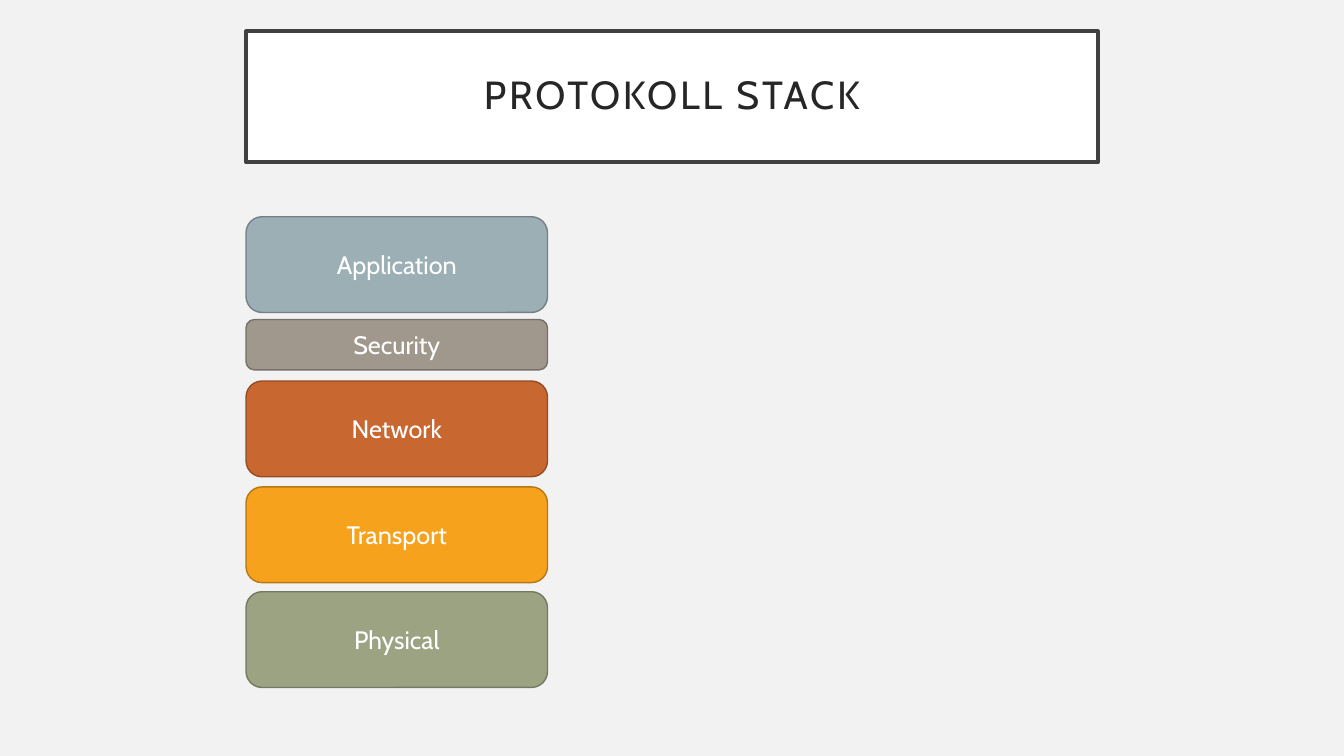
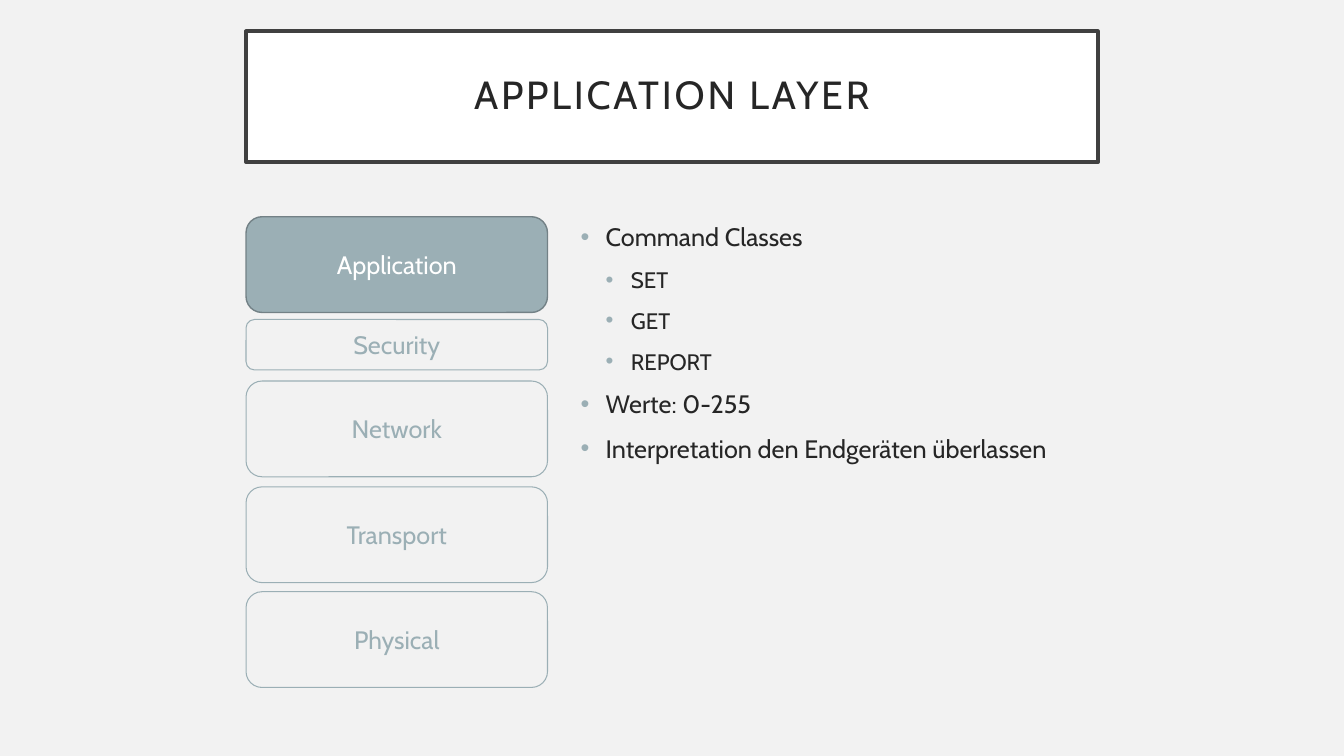
from dataclasses import dataclass

from lxml.etree import SubElement
from pptx import Presentation
from pptx.dml.color import RGBColor
from pptx.enum.shapes import MSO_SHAPE
from pptx.enum.text import MSO_ANCHOR, PP_ALIGN
from pptx.oxml.ns import qn
from pptx.util import Inches, Pt

FONT = "Cabin"
COLORS = {
    "background": "F2F2F2",
    "white": "FFFFFF",
    "frame": "404040",
    "text": "262626",
    "accent": "9BAFB5",
}
LEFT = 2.44
STACK_TOP = 2.15


@dataclass(frozen=True)
class Layer:
    name: str
    top: float
    height: float
    fill: str
    line: str


@dataclass(frozen=True)
class Bullet:
    text: str
    level: int = 0


LAYERS = [
    Layer("Application", STACK_TOP, 0.95, COLORS["accent"], "738186"),
    Layer("Security", 3.17, 0.5, "A0988C", "767068"),
    Layer("Network", 3.78, 0.95, "C96731", "954C24"),
    Layer("Transport", 4.83, 0.95, "F6A21D", "B67815"),
    Layer("Physical", 5.87, 0.95, "9CA383", "737961"),
]

APPLICATION_BULLETS = [
    Bullet("Command Classes"),
    Bullet("SET", 1),
    Bullet("GET", 1),
    Bullet("REPORT", 1),
    Bullet("Werte: 0-255"),
    Bullet("Interpretation den Endgeräten überlassen"),
]


def rgb(value: str) -> RGBColor:
    return RGBColor.from_string(value)


def add_run(p, text: str, size: float, color: str):
    r = p.add_run()
    r.text = text
    r.font.name = FONT
    r.font.size = Pt(size)
    r.font.color.rgb = rgb(color)
    return r


def add_box(s, kind, left: float, top: float, width: float, height: float,
            fill: str | None, line: str, line_width: float):
    sp = s.shapes.add_shape(kind, Inches(left), Inches(top), Inches(width), Inches(height))
    sp.shadow.inherit = False
    if fill:
        sp.fill.solid()
        sp.fill.fore_color.rgb = rgb(fill)
    else:
        sp.fill.background()
    sp.line.color.rgb = rgb(line)
    sp.line.width = Pt(line_width)
    tf = sp.text_frame
    tf.word_wrap = True
    tf.vertical_anchor = MSO_ANCHOR.MIDDLE
    tf.paragraphs[0].alignment = PP_ALIGN.CENTER
    return sp


def add_title(s, text: str) -> None:
    sp = add_box(s, MSO_SHAPE.RECTANGLE, LEFT, 0.31, 8.45, 1.3,
                 COLORS["white"], COLORS["frame"], 2.5)
    tf = sp.text_frame
    tf.margin_left = tf.margin_right = tf.margin_top = tf.margin_bottom = Inches(0.2)
    p = tf.paragraphs[0]
    p.line_spacing = 0.9
    r = add_run(p, text, 28, COLORS["text"])
    r.font._element.set("spc", "200")


def add_stack(s, active: set[str]) -> None:
    for layer in LAYERS:
        if layer.name in active:
            fill, line, width, color = layer.fill, layer.line, 1, COLORS["white"]
        else:
            fill, line, width, color = None, COLORS["accent"], 0.75, COLORS["accent"]
        sp = add_box(s, MSO_SHAPE.ROUNDED_RECTANGLE, LEFT, layer.top, 2.99, layer.height,
                     fill, line, width)
        add_run(sp.text_frame.paragraphs[0], layer.name, 18, color)


def set_bullet(p, level: int) -> None:
    p.level = level
    pPr = p._p.get_or_add_pPr()
    pPr.set("marL", str(Inches(0.25 * (level + 1))))
    pPr.set("indent", str(Inches(-0.25)))
    color = SubElement(pPr, qn("a:buClr"))
    SubElement(color, qn("a:srgbClr"), val=COLORS["accent"])
    SubElement(pPr, qn("a:buFont"), typeface="Arial")
    SubElement(pPr, qn("a:buChar"), char="•")


def add_bullets(s, bullets: list[Bullet]) -> None:
    tf = s.shapes.add_textbox(Inches(5.66), Inches(STACK_TOP), Inches(5.24), Inches(4.82)).text_frame
    tf.word_wrap = True
    for i, bullet in enumerate(bullets):
        p = tf.add_paragraph() if i else tf.paragraphs[0]
        p.space_before = Pt(10)
        set_bullet(p, bullet.level)
        add_run(p, bullet.text, 18 - 2 * bullet.level, COLORS["text"])


def add_slide(prs, title: str, active: set[str], bullets: list[Bullet]) -> None:
    s = prs.slides.add_slide(prs.slide_layouts[6])
    s.background.fill.solid()
    s.background.fill.fore_color.rgb = rgb(COLORS["background"])
    add_title(s, title)
    if bullets:
        add_bullets(s, bullets)
    add_stack(s, active)


def main() -> None:
    prs = Presentation()
    prs.slide_width = Inches(13.33)
    prs.slide_height = Inches(7.5)
    add_slide(prs, "PROTOKOLL STACK", {layer.name for layer in LAYERS}, [])
    add_slide(prs, "APPLICATION LAYER", {"Application"}, APPLICATION_BULLETS)
    prs.save("out.pptx")


if __name__ == "__main__":
    main()
